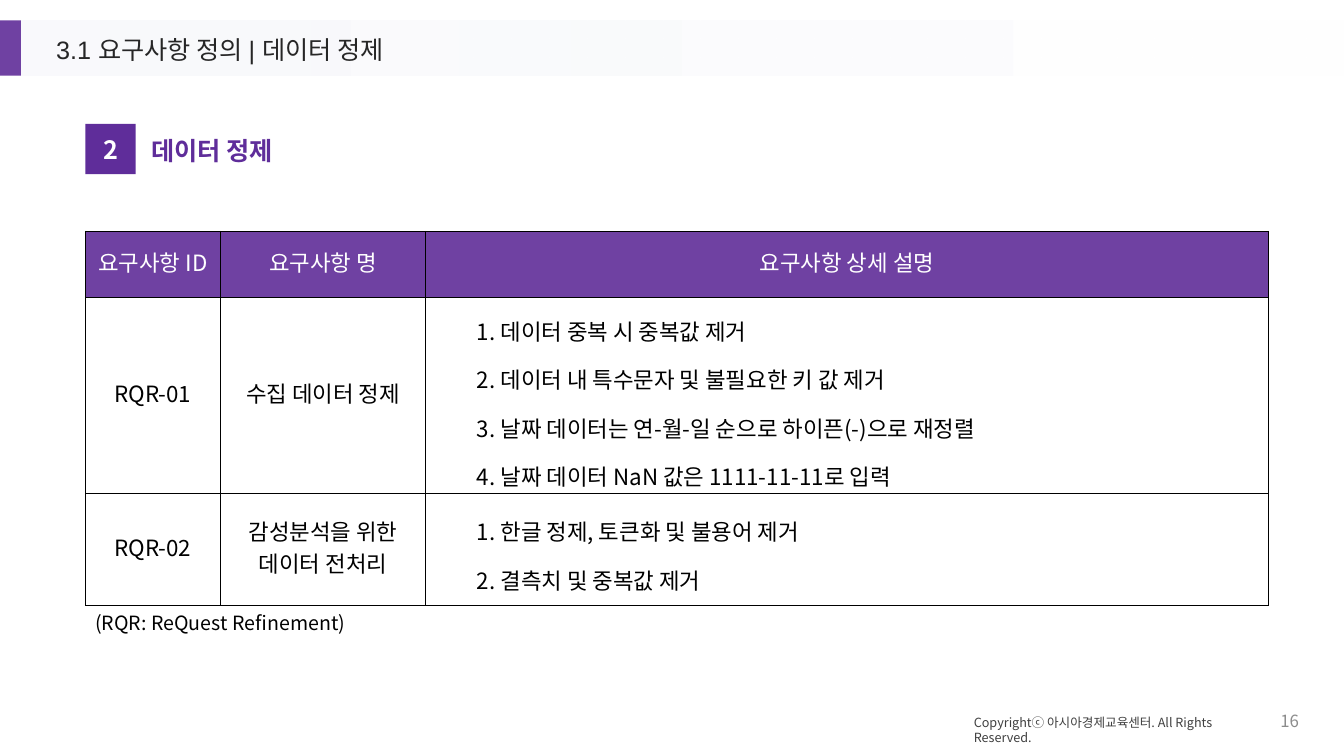
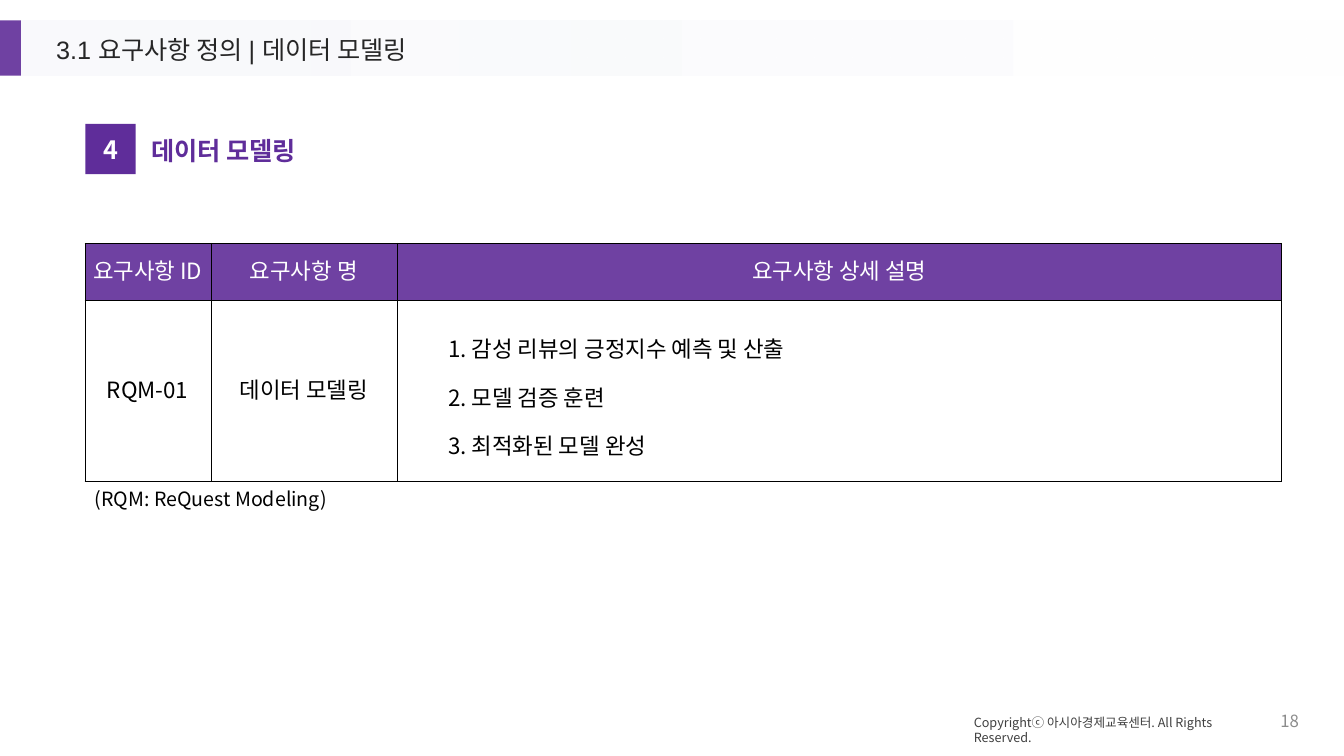
import pptx
import pptx.dml.color
import pptx.enum.shapes
import pptx.enum.text
import pptx.oxml.ns
import pptx.util
from lxml import etree

Pt = pptx.util.Pt
RGB = pptx.dml.color.RGBColor
ALIGN = pptx.enum.text.PP_ALIGN
ANCHOR = pptx.enum.text.MSO_ANCHOR
RECT = pptx.enum.shapes.MSO_SHAPE.RECTANGLE
qn = pptx.oxml.ns.qn

WHITE = RGB(0xFF, 0xFF, 0xFF)
BLACK = RGB(0, 0, 0)
PURPLE = RGB(0x6F, 0x41, 0xA2)
DEEP = RGB(0x5F, 0x2D, 0x9A)
PALE = RGB(0xF6, 0xF7, 0xFB)
INK = RGB(0x26, 0x26, 0x26)
SLATE = RGB(0x40, 0x40, 0x40)
GREY = RGB(0x8C, 0x8C, 0x8C)
SANS = "Noto Sans CJK KR"

HEADS = ["요구사항 ID", "요구사항 명", "요구사항 상세 설명"]
COPY = "Copyrightⓒ 아시아경제교육센터. All Rights Reserved."

PAGES = [
    dict(page=16, num=2, topic="데이터 정제", note="(RQR: ReQuest Refinement)",
         left=61, top=165, cols=[96.5, 146.5, 602], rows=[47.5, 139.5, 80.5],
         body=[
             ("RQR-01", ["수집 데이터 정제"],
              ["데이터 중복 시 중복값 제거",
               "데이터 내 특수문자 및 불필요한 키 값 제거",
               "날짜 데이터는 연-월-일 순으로 하이픈(-)으로 재정렬",
               "날짜 데이터 NaN 값은 1111-11-11로 입력"]),
             ("RQR-02", ["감성분석을 위한", "데이터 전처리"],
              ["한글 정제, 토큰화 및 불용어 제거",
               "결측치 및 중복값 제거"])]),
    dict(page=18, num=4, topic="데이터 모델링", note="(RQM: ReQuest Modeling)",
         left=60.5, top=173.5, cols=[90, 133, 632], rows=[41, 129],
         body=[
             ("RQM-01", ["데이터 모델링"],
              ["감성 리뷰의 긍정지수 예측 및 산출",
               "모델 검증 훈련",
               "최적화된 모델 완성"])]),
]


class Deck:
    def __init__(self):
        self.prs = pptx.Presentation()
        self.prs.slide_width, self.prs.slide_height = Pt(960), Pt(540)
        self.slide = None

    def put(self, frame, lines, size, color, font=SANS, bold=False,
            align=ALIGN.LEFT, space=None, indent=0):
        """Fill a text frame, one paragraph a line."""
        for i, line in enumerate(lines):
            para = frame.paragraphs[0] if i == 0 else frame.add_paragraph()
            para.alignment = align
            if space:
                para.line_spacing = space
            if indent:
                para.level = 1
                props = para._p.get_or_add_pPr()
                props.set("marL", str(Pt(indent)))
                props.set("indent", "0")
            run = para.add_run()
            run.text = line
            run.font.size, run.font.bold = Pt(size), bold
            run.font.name, run.font.color.rgb = font, color
            # East Asian glyphs take their own typeface
            etree.SubElement(run._r.get_or_add_rPr(), qn("a:ea"),
                             typeface=SANS)

    def text(self, box, line, size, color, anchor=ANCHOR.TOP, **style):
        frame = self.slide.shapes.add_textbox(*map(Pt, box)).text_frame
        frame.word_wrap = True
        frame.vertical_anchor = anchor
        self.put(frame, [line], size, color, **style)

    def rect(self, box, color):
        shape = self.slide.shapes.add_shape(RECT, *map(Pt, box))
        shape.shadow.inherit = False
        shape.line.fill.background()
        shape.fill.solid()
        shape.fill.fore_color.rgb = color
        return shape

    def fade(self, box):
        """Band that runs from pale, see-through colour to white."""
        band = self.rect(box, PALE)
        band.fill.gradient()
        band.fill.gradient_angle = 0
        for stop, color in zip(band.fill.gradient_stops, (PALE, WHITE)):
            stop.color.rgb = color
        first = band.element.spPr.find(".//" + qn("a:srgbClr"))
        etree.SubElement(first, qn("a:alpha"), val="58000")

    def frame(self, page, topic):
        """Start a slide with its band, title and footer."""
        self.slide = self.prs.slides.add_slide(self.prs.slide_layouts[6])
        self.fade((15, 14.5, 945, 39.5))
        self.rect((0, 14.5, 15, 39.5), PURPLE)
        self.text((33, 23.5, 356, 28), f"3.1 요구사항 정의 | {topic}",
                  18, INK, font="Arial", space=0.9)
        self.text((688.5, 507, 220, 18), COPY, 9, SLATE)
        self.text((890.5, 500.5, 44.5, 28.5), str(page), 12, GREY,
                  anchor=ANCHOR.MIDDLE, align=ALIGN.RIGHT)

    def head(self, num, topic):
        chip = self.rect((61, 88.5, 36, 36), DEEP).text_frame
        chip.vertical_anchor = ANCHOR.MIDDLE
        self.put(chip, [str(num)], 18, WHITE, bold=True, align=ALIGN.CENTER)
        self.text((101, 93, 204.5, 29), topic, 18, DEEP, bold=True)

    def cell(self, cell, lines, color=BLACK, fill=None, **style):
        cell.margin_left = cell.margin_right = cell.margin_top = Pt(0.7)
        cell.margin_bottom = Pt(3.6)
        cell.vertical_anchor = ANCHOR.MIDDLE
        props = cell._tc.get_or_add_tcPr()
        for side in "LRTB":
            edge = etree.SubElement(props, qn("a:ln" + side), w=str(Pt(0.25)))
            paint = etree.SubElement(edge, qn("a:solidFill"))
            etree.SubElement(paint, qn("a:srgbClr"), val=str(BLACK))
        if fill:
            cell.fill.solid()
            cell.fill.fore_color.rgb = fill
        else:
            cell.fill.background()
        self.put(cell.text_frame, lines, 16, color, **style)

    def table(self, left, top, cols, rows, body):
        """Draw the table and return its bottom edge."""
        grid = self.slide.shapes.add_table(
            len(rows), len(cols), Pt(left), Pt(top),
            Pt(sum(cols)), Pt(sum(rows))).table
        grid.first_row = grid.horz_banding = False
        for col, width in zip(grid.columns, cols):
            col.width = Pt(width)
        for row, height in zip(grid.rows, rows):
            row.height = Pt(height)
        for i, label in enumerate(HEADS):
            self.cell(grid.cell(0, i), [label], WHITE, PURPLE,
                      align=ALIGN.CENTER)
        for r, (code, name, steps) in enumerate(body, 1):
            self.cell(grid.cell(r, 0), [code], align=ALIGN.CENTER)
            self.cell(grid.cell(r, 1), name, align=ALIGN.CENTER)
            items = [f"{n}. {step}" for n, step in enumerate(steps, 1)]
            self.cell(grid.cell(r, 2), items, space=1.5, indent=36)
        return top + sum(rows)


def main():
    deck = Deck()
    for page in PAGES:
        deck.frame(page["page"], page["topic"])
        deck.head(page["num"], page["topic"])
        left = page["left"]
        end = deck.table(left, page["top"], page["cols"], page["rows"],
                         page["body"])
        deck.text((left, end + 0.5, 218, 24.5), page["note"], 14, BLACK)
    deck.prs.save("out.pptx")


if __name__ == "__main__":
    main()
